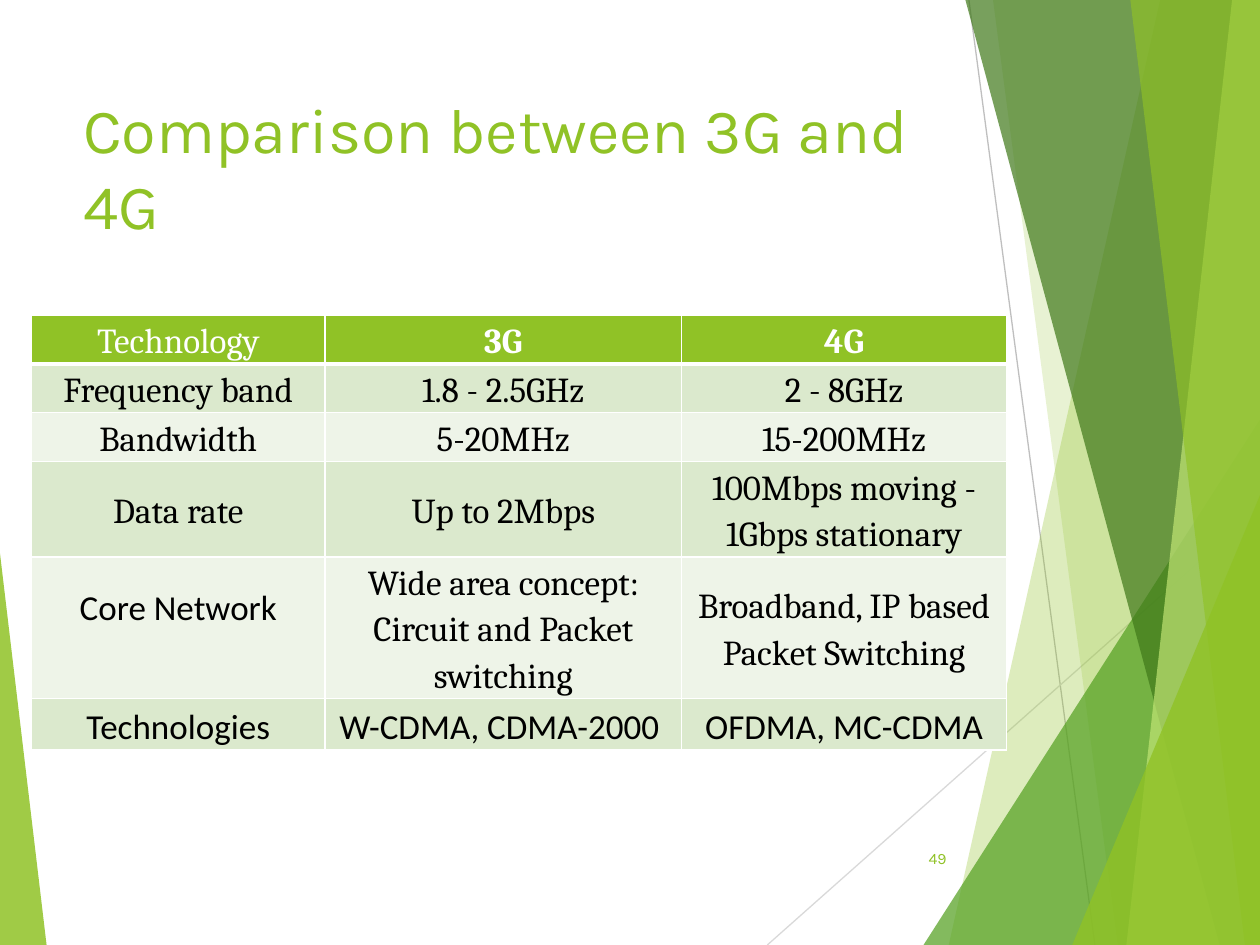
"""Build the slide comparing 3G and 4G."""
from dataclasses import dataclass

from lxml import etree
from pptx import Presentation
from pptx.dml.color import RGBColor
from pptx.enum.shapes import MSO_CONNECTOR, MSO_SHAPE
from pptx.enum.text import MSO_ANCHOR, PP_ALIGN
from pptx.oxml.ns import qn
from pptx.util import Inches, Pt

LINE = MSO_CONNECTOR.STRAIGHT
TRIANGLE = MSO_SHAPE.ISOSCELES_TRIANGLE
MIDDLE, TOP = MSO_ANCHOR.MIDDLE, MSO_ANCHOR.TOP
LEFT, CENTER, RIGHT = PP_ALIGN.LEFT, PP_ALIGN.CENTER, PP_ALIGN.RIGHT
GREEN, WHITE, BLACK = "90C226", "FFFFFF", "000000"
BANDS = ("EEF4E8", "DBE9CD")
WIDTH, HEIGHT, BLEED = 10, 7.5, -0.01


@dataclass
class Ray:
    start: tuple[float, float]
    end: tuple[float, float]
    color: str


@dataclass
class Shard:
    top_x: float
    bottom_x: float
    color: str
    alpha: int


@dataclass
class Wedge:
    left: float
    top: float
    width: float
    apex: float
    color: str
    alpha: int


RAYS = [Ray((7.69, 0), (8.69, 7.5), "BFBFBF"), Ray((10, 4.03), (6.09, 7.5), "D9D9D9")]
DECOR = [
    Shard(9.21, 7.53, GREEN, 30),
    Shard(7.88, 8.87, GREEN, 20),
    Wedge(7.33, 3.33, 2.67, 1, "54A021", 72),
    Shard(7.66, 9.68, "3F7819", 70),
    Shard(9.78, 8.94, "C0E474", 70),
    Shard(8.97, 9.88, GREEN, 65),
    Wedge(8.51, 3.93, 1.49, 1, GREEN, 80),
    Wedge(0, 4.39, 0.37, 0, GREEN, 85),
]
COLUMNS = (2.33, 2.83, 2.58)
ROW_HEIGHTS = (0.27, 0.27, 0.27, 0.52, 0.27, 0.27)
ROWS = [
    ("Technology", "3G", "4G"),
    ("Frequency band", "1.8 - 2.5GHz", "2 - 8GHz"),
    ("Bandwidth", "5-20MHz", "15-200MHz"),
    ("Data rate", "Up to 2Mbps", "100Mbps moving - 1Gbps stationary"),
    ("Core Network", "Wide area concept: Circuit and Packet switching",
     "Broadband, IP based Packet Switching"),
    ("Technologies", "W-CDMA, CDMA-2000 ", "OFDMA, MC-CDMA"),
]
CORE_ROW, LAST_ROW = 4, 5


def rgb(color: str) -> RGBColor:
    return RGBColor.from_string(color)


def style_text(tf, text: str, size: float, font: str, color: str,
               align=LEFT, bold: bool = False) -> None:
    tf.text = text
    p = tf.paragraphs[0]
    p.alignment = align
    for r in p.runs:
        r.font.size, r.font.name, r.font.bold = Pt(size), font, bold
        r.font.color.rgb = rgb(color)


def add_ray(s, ray: Ray) -> None:
    cx = s.shapes.add_connector(LINE, *map(Inches, ray.start + ray.end))
    cx.line.color.rgb = rgb(ray.color)
    cx.line.width = Pt(0.75)
    etree.SubElement(cx._element.spPr, qn("a:effectLst"))


def add_decor(s, part: Shard | Wedge) -> None:
    if isinstance(part, Shard):
        fb = s.shapes.build_freeform(Inches(part.top_x), Inches(BLEED))
        corners = ((WIDTH, BLEED), (WIDTH, HEIGHT), (part.bottom_x, HEIGHT))
        fb.add_line_segments([(Inches(x), Inches(y)) for x, y in corners])
        sp = fb.convert_to_shape()
    else:
        box = (part.left, part.top, part.width, HEIGHT - part.top)
        sp = s.shapes.add_shape(TRIANGLE, *map(Inches, box))
        sp.adjustments[0] = part.apex
    sp.shadow.inherit = False
    sp.line.fill.background()
    sp.fill.solid()
    sp.fill.fore_color.rgb = rgb(part.color)
    clr = sp._element.spPr.find(qn("a:solidFill")).find(qn("a:srgbClr"))
    etree.SubElement(clr, qn("a:alpha"), val=str(part.alpha * 1000))


def set_borders(cell, bottom: float) -> None:
    tc_pr = cell._tc.get_or_add_tcPr()
    widths = {"lnL": 1, "lnR": 1, "lnT": 1, "lnB": bottom}
    for i, (tag, width) in enumerate(widths.items()):
        ln = etree.Element(qn(f"a:{tag}"), w=str(Pt(width)))
        fill = etree.SubElement(ln, qn("a:solidFill"))
        etree.SubElement(fill, qn("a:srgbClr"), val=WHITE)
        tc_pr.insert(i, ln)


def fill_cell(cell, row: int, col: int, text: str) -> None:
    header = row == 0
    calibri = row == LAST_ROW or (row, col) == (CORE_ROW, 0)
    style_text(cell.text_frame, text, 20, "Calibri" if calibri else "Cambria",
               WHITE if header else BLACK, CENTER, header and col > 0)
    cell.text_frame.paragraphs[0].line_spacing = 1.15
    cell.vertical_anchor = MIDDLE
    cell.margin_left = cell.margin_right = cell.margin_top = Inches(0.01)
    cell.margin_bottom = Inches(0.36 if (row, col) == (CORE_ROW, 0) else 0.01)
    cell.fill.solid()
    cell.fill.fore_color.rgb = rgb(GREEN if header else BANDS[row % 2])
    set_borders(cell, 3 if header else 1)


def add_comparison(s) -> None:
    box = map(Inches, (0.25, 2.5, sum(COLUMNS), sum(ROW_HEIGHTS)))
    table = s.shapes.add_table(len(ROWS), len(COLUMNS), *box).table
    for column, width in zip(table.columns, COLUMNS):
        column.width = Inches(width)
    for i, (height, texts) in enumerate(zip(ROW_HEIGHTS, ROWS)):
        table.rows[i].height = Inches(height)
        for j, text in enumerate(texts):
            fill_cell(table.cell(i, j), i, j, text)


def main() -> None:
    prs = Presentation()
    prs.slide_width, prs.slide_height = Inches(WIDTH), Inches(HEIGHT)
    s = prs.slides.add_slide(prs.slide_layouts[5])
    for ray in RAYS:
        add_ray(s, ray)
    for part in DECOR:
        add_decor(s, part)
    add_comparison(s)

    title = s.shapes.title
    title.left, title.top = Inches(0.56), Inches(0.67)
    title.width, title.height = Inches(7.36), Inches(0.92)
    title.text_frame.vertical_anchor = TOP
    style_text(title.text_frame, "Comparison between 3G and 4G", 36, "Karla", GREEN)

    number = s.shapes.add_textbox(*map(Inches, (7.05, 6.61, 0.56, 0.4)))
    number.text_frame.word_wrap = True
    number.text_frame.vertical_anchor = MIDDLE
    style_text(number.text_frame, "49", 9, "Karla", GREEN, RIGHT)
    prs.save("out.pptx")


if __name__ == "__main__":
    main()
